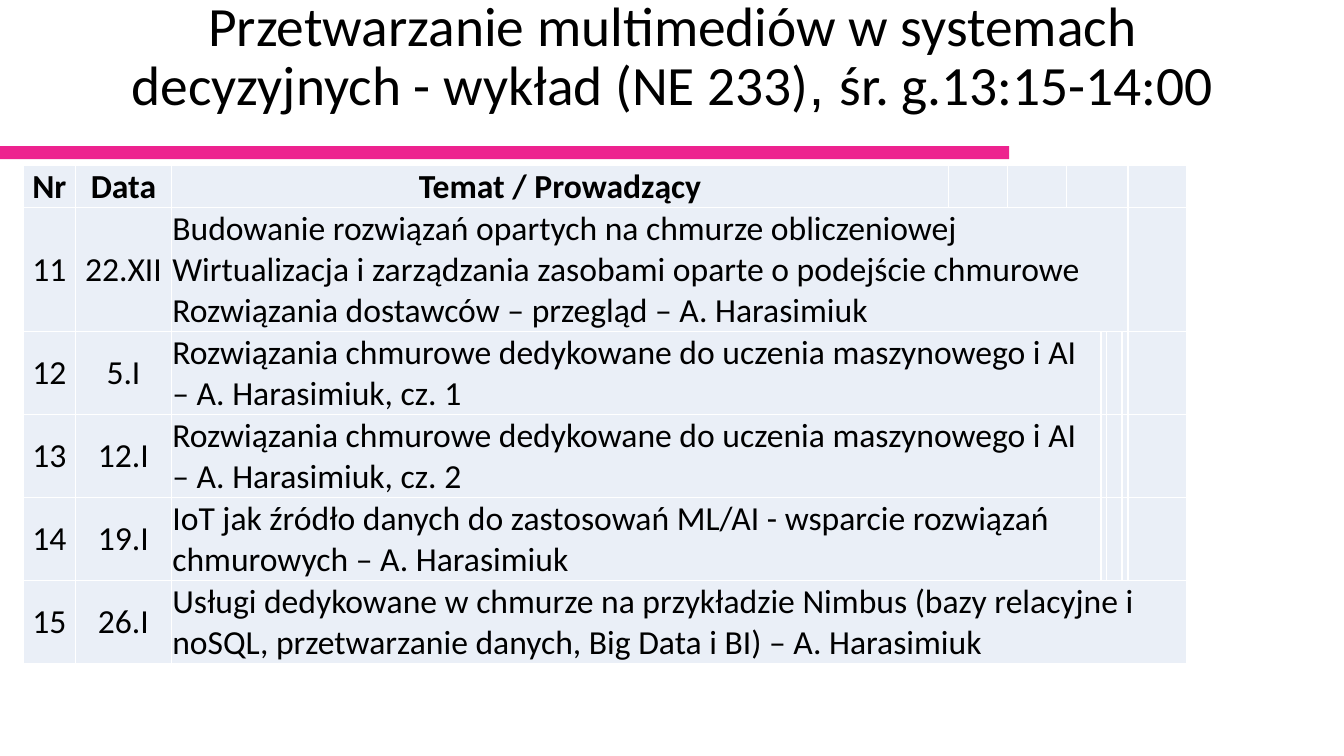
from dataclasses import dataclass
from typing import Any

from lxml import etree
from pptx import Presentation
from pptx.dml.color import RGBColor
from pptx.enum.shapes import MSO_SHAPE
from pptx.enum.text import MSO_ANCHOR, MSO_AUTO_SIZE, PP_ALIGN
from pptx.oxml.ns import qn
from pptx.util import Emu, Pt

RECTANGLE = MSO_SHAPE.RECTANGLE
MIDDLE, BOTTOM = MSO_ANCHOR.MIDDLE, MSO_ANCHOR.BOTTOM
LEFT, CENTER = PP_ALIGN.LEFT, PP_ALIGN.CENTER
NO_RESIZE = MSO_AUTO_SIZE.NONE
TITLE_ONLY = 5
EMU_PER_PX = 9144
BORDER_SIDES = ("a:lnL", "a:lnR", "a:lnT", "a:lnB")


@dataclass(frozen=True)
class Theme:
    ink: str = "000000"
    accent: str = "ED238F"
    cell: str = "EAEFF7"
    border: str = "FFFFFF"
    font: str = "Calibri"
    comma_font: str = "Arial"
    title_size: float = 39.6
    table_size: float = 24
    border_width: float = 1


@dataclass(frozen=True)
class Box:
    left: int
    top: int
    width: int
    height: int


@dataclass(frozen=True)
class Span:
    text: str
    font: str


@dataclass(frozen=True)
class Lecture:
    number: str
    date: str
    topic: str
    height: int
    merge: tuple[int, int]
    topic_align: Any = LEFT
    bold: bool = False


THEME = Theme()
PAGE = Box(0, 0, 1333, 750)
BAR = Box(0, 145, 1001, 13)
TITLE = Box(92, 40, 1150, 97)
TABLE = Box(23, 164, 1152, 492)
COLUMNS = (52, 95, 771, 58, 59, 34, 5, 15, 5, 58)
TITLE_SPANS = (
    Span("Przetwarzanie multimediów w systemach decyzyjnych - wykład (NE 233)", THEME.font),
    Span(", ", THEME.comma_font),
    Span("śr. g.13:15-14:00", THEME.font),
)
CLOUD_TOPIC = "Rozwiązania chmurowe dedykowane do uczenia maszynowego i AI – A. Harasimiuk, cz. "
LECTURES = (
    Lecture("Nr", "Data", "Temat / Prowadzący", 41, (5, 8), CENTER, True),
    Lecture("11", "22.XII", "Budowanie rozwiązań opartych na chmurze obliczeniowej "
            "Wirtualizacja i zarządzania zasobami oparte o podejście chmurowe "
            "Rozwiązania dostawców – przegląd – A. Harasimiuk", 123, (2, 8)),
    Lecture("12", "5.I", CLOUD_TOPIC + "1", 82, (2, 5)),
    Lecture("13", "12.I", CLOUD_TOPIC + "2", 82, (2, 5)),
    Lecture("14", "19.I", "IoT jak źródło danych do zastosowań ML/AI - wsparcie rozwiązań "
            "chmurowych – A. Harasimiuk", 82, (2, 5)),
    Lecture("15", "26.I", "Usługi dedykowane w chmurze na przykładzie Nimbus (bazy relacyjne i "
            "noSQL, przetwarzanie danych, Big Data i BI) – A. Harasimiuk", 82, (2, 9)),
)


def px(length: int) -> Emu:
    return Emu(length * EMU_PER_PX)


def apply(target: Any, values: dict[str, Any]) -> None:
    for name, value in values.items():
        setattr(target, name, value)


def corners(box: Box) -> tuple[Emu, Emu, Emu, Emu]:
    return px(box.left), px(box.top), px(box.width), px(box.height)


def paint(fill: Any, color: str) -> None:
    fill.solid()
    fill.fore_color.rgb = RGBColor.from_string(color)


def add_span(para: Any, span: Span, size: float, bold: bool = False) -> None:
    run = para.add_run()
    run.text = span.text
    apply(run.font, {"name": span.font, "size": Pt(size), "bold": bold})
    run.font.color.rgb = RGBColor.from_string(THEME.ink)


def draw_bar(page: Any) -> None:
    bar = page.shapes.add_shape(RECTANGLE, *corners(BAR))
    bar.shadow.inherit = False
    paint(bar.fill, THEME.accent)
    bar.line.fill.background()


def draw_title(page: Any) -> None:
    title = page.shapes.title
    left, top, width, height = corners(TITLE)
    apply(title, {"left": left, "top": top, "width": width, "height": height})
    apply(title.text_frame, {"word_wrap": True, "auto_size": NO_RESIZE,
                             "vertical_anchor": BOTTOM, "margin_bottom": px(20)})
    para = title.text_frame.paragraphs[0]
    apply(para, {"alignment": CENTER, "line_spacing": 0.9})
    for span in TITLE_SPANS:
        add_span(para, span, THEME.title_size)


def draw_borders(cell: Any) -> None:
    properties = cell._tc.get_or_add_tcPr()
    for side in BORDER_SIDES:
        line = etree.SubElement(properties, qn(side), w=str(Pt(THEME.border_width)))
        solid = etree.SubElement(line, qn("a:solidFill"))
        etree.SubElement(solid, qn("a:srgbClr"), val=THEME.border)


def format_cell(cell: Any) -> None:
    draw_borders(cell)
    paint(cell.fill, THEME.cell)
    apply(cell, {"margin_left": px(1), "margin_right": px(1),
                 "margin_top": px(1), "margin_bottom": px(0)})


def write_cell(cell: Any, text: str, anchor: Any, align: Any, bold: bool) -> None:
    cell.vertical_anchor = anchor
    para = cell.text_frame.paragraphs[0]
    para.alignment = align
    add_span(para, Span(text, THEME.font), THEME.table_size, bold)


def draw_schedule(page: Any) -> None:
    frame = page.shapes.add_table(len(LECTURES), len(COLUMNS), *corners(TABLE))
    table = frame.table
    apply(table, {"first_row": False, "horz_banding": False})
    for column, width in zip(table.columns, COLUMNS):
        column.width = px(width)
    for cell in table.iter_cells():
        format_cell(cell)
    for index, lecture in enumerate(LECTURES):
        table.rows[index].height = px(lecture.height)
        first, last = lecture.merge
        table.cell(index, first).merge(table.cell(index, last))
        entries = (
            (lecture.number, MIDDLE, CENTER),
            (lecture.date, MIDDLE, CENTER),
            (lecture.topic, BOTTOM, lecture.topic_align),
        )
        for column, (text, anchor, align) in enumerate(entries):
            write_cell(table.cell(index, column), text, anchor, align, lecture.bold)


def main() -> None:
    deck = Presentation()
    apply(deck, {"slide_width": px(PAGE.width), "slide_height": px(PAGE.height)})
    page = deck.slides.add_slide(deck.slide_layouts[TITLE_ONLY])
    draw_bar(page)
    draw_title(page)
    draw_schedule(page)
    deck.save("out.pptx")


if __name__ == "__main__":
    main()
